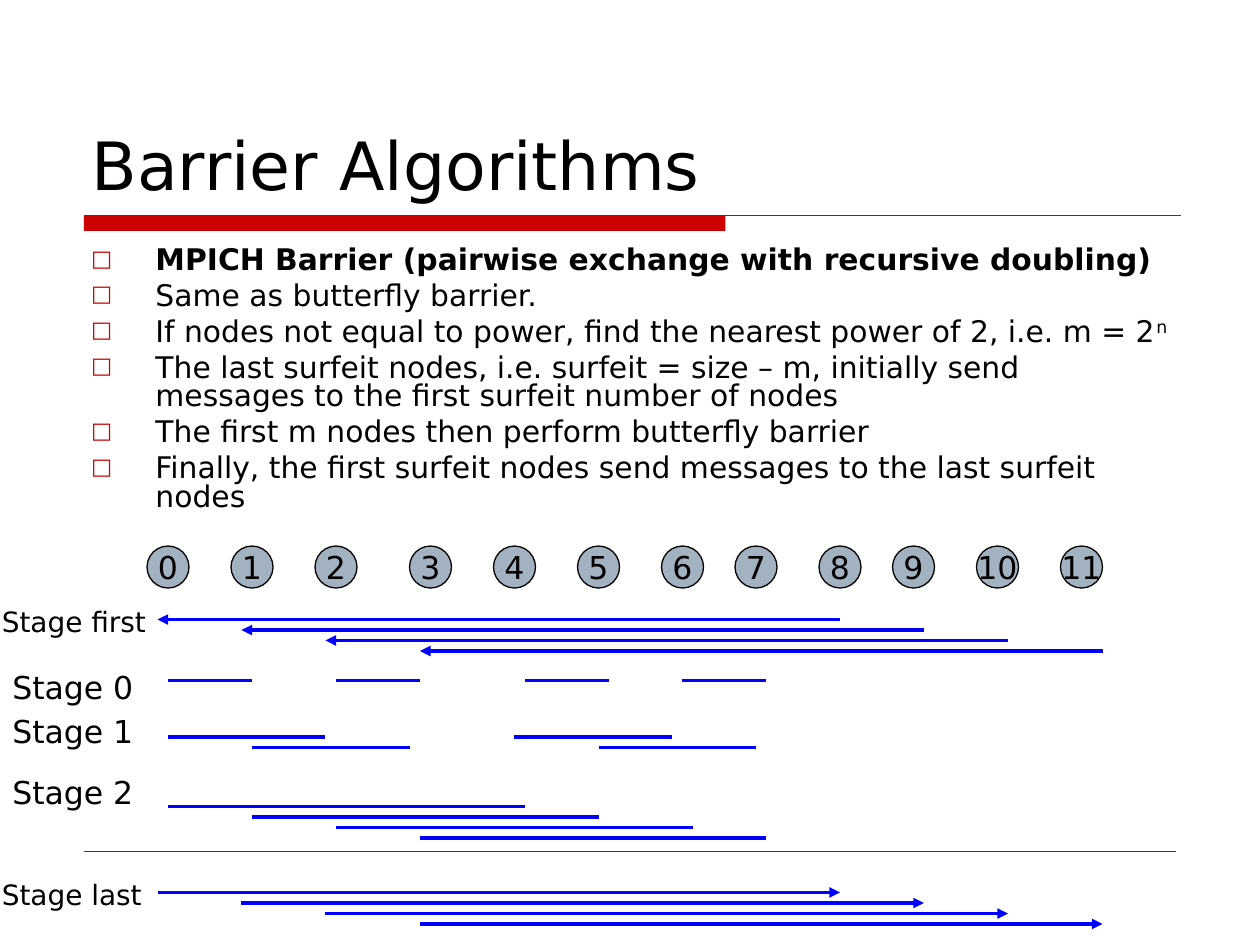
from lxml import etree
from pptx import Presentation
from pptx.dml.color import RGBColor
from pptx.enum import shapes, text
from pptx.oxml import ns
from pptx.util import Pt

FONT = "DejaVu Sans"
RED, BLUE, BLACK, GREY = "CC0000", "0000FF", "000000", "A3B2C1"


def color(value):
    return RGBColor.from_string(value)


def child(parent, tag, **attributes):
    return etree.SubElement(parent, ns.qn(tag), attributes)


def add_span(para, words, size=18, bold=False, raised=False):
    span = para.add_run()
    span.text = words
    span.font.name = FONT
    span.font.size = Pt(size)
    span.font.bold = bold
    span.font.color.rgb = color(BLACK)
    if raised:
        span.font._element.set("baseline", "30000")


def add_box(page, left, top, width, height, anchor=text.MSO_ANCHOR.TOP):
    box = page.shapes.add_textbox(Pt(left), Pt(top), Pt(width), Pt(height))
    box.text_frame.word_wrap = True
    box.text_frame.vertical_anchor = anchor
    return box.text_frame


def add_line(page, x1, y1, x2, y2, stroke=BLUE, weight=2, arrow=None):
    line = page.shapes.add_connector(
        shapes.MSO_CONNECTOR.STRAIGHT, Pt(x1), Pt(y1), Pt(x2), Pt(y2))
    line.line.color.rgb = color(stroke)
    line.line.width = Pt(weight)
    if arrow:
        child(line.line._get_or_add_ln(), arrow, type="triangle")
    child(line._element.spPr, "a:effectLst")


def add_shape(page, kind, left, top, width, height, fill):
    shape = page.shapes.add_shape(kind, Pt(left), Pt(top), Pt(width), Pt(height))
    shape.shadow.inherit = False
    shape.fill.solid()
    shape.fill.fore_color.rgb = color(fill)
    return shape


def add_rules(page, left, top, width):
    """Thick and thin rule below the title, hairline near the foot."""
    band = add_shape(page, shapes.MSO_SHAPE.RECTANGLE, left, top, 366.5, 8.8, RED)
    band.line.fill.background()
    add_line(page, left, top, left + width, top, RED, 0.74)
    add_line(page, left, top + 363, left + width - 2.6, top + 363, RED, 0.26)


def add_title(page, left, top, width, height, words):
    frame = add_box(page, left, top, width, height, text.MSO_ANCHOR.BOTTOM)
    add_span(frame.paragraphs[0], words, size=38)


def add_bullets(page, left, top, width, height, items):
    frame = add_box(page, left, top, width, height)
    for index, spans in enumerate(items):
        para = frame.add_paragraph() if index else frame.paragraphs[0]
        para.line_spacing = 0.8
        para.space_before = Pt(4.2)
        layout = para._p.get_or_add_pPr()
        layout.set("marL", str(Pt(36.75)))
        layout.set("indent", str(-Pt(36.75)))
        child(child(layout, "a:buClr"), "a:srgbClr", val=RED)
        child(layout, "a:buSzPct", val="75000")
        child(layout, "a:buFont", typeface=FONT)
        child(layout, "a:buChar", char="□")
        for words, style in spans:
            add_span(para, words, size=17, **style)


def add_nodes(page, top, lefts, size=24):
    for number, left in enumerate(lefts):
        node = add_shape(page, shapes.MSO_SHAPE.OVAL, left, top, size, size, GREY)
        node.line.color.rgb = color(BLACK)
        node.line.width = Pt(0.74)
        frame = node.text_frame
        frame.word_wrap = False
        frame.vertical_anchor = text.MSO_ANCHOR.MIDDLE
        frame.paragraphs[0].alignment = text.PP_ALIGN.CENTER
        add_span(frame.paragraphs[0], str(number))


def add_stage(page, left, top, label, size, offset, links, arrow=None):
    """Label with its message lines; each link is (start, end, row)."""
    frame = add_box(page, left, top, 102, size * 1.17 + 7.8)
    add_span(frame.paragraphs[0], label, size=size)
    for start, end, row in links:
        y = top + offset + 6 * row
        add_line(page, start, y, end, y, arrow=arrow)


deck = Presentation()
deck.slide_width, deck.slide_height = Pt(720), Pt(540)
page = deck.slides.add_slide(deck.slide_layouts[6])

# Heading
add_rules(page, 48, 123.2, 626.6)
add_title(page, 45.2, 24, 630, 96, "Barrier Algorithms")

# Explanation
plain = {}
add_bullets(page, 45, 138, 630, 168, [
    [("MPICH Barrier (pairwise exchange with recursive doubling)", {"bold": True})],
    [("Same as butterfly barrier.", plain)],
    [("If nodes not equal to power, find the nearest power of 2, i.e. m = 2", plain),
     ("n", {"raised": True})],
    [("The last surfeit nodes, i.e. surfeit = size – m, initially send "
      "messages to the first surfeit number of nodes", plain)],
    [("The first m nodes then perform butterfly barrier", plain)],
    [("Finally, the first surfeit nodes send messages to the last surfeit nodes",
      plain)],
])

# Nodes
add_nodes(page, 312, [84, 132, 180, 234, 282, 330, 378, 420, 468, 510, 558, 606])

# Stages
surfeit = [(90, 480, 0), (138, 528, 1), (186, 576, 2), (240, 630, 3)]
pairs = [(96, 144, 0), (192, 240, 0), (300, 348, 0), (390, 438, 0)]
doubles = [(96, 186, 0), (144, 234, 1), (294, 384, 0), (342, 432, 1)]
quads = [(96, 300, 0), (144, 342, 1), (192, 396, 2), (240, 438, 3)]
add_stage(page, 0, 378, "Stage 0", 18, 10.8, pairs)
add_stage(page, 0, 403.2, "Stage 1", 18, 18, doubles)
add_stage(page, 0, 438, "Stage 2", 18, 22.8, quads)
add_stage(page, -6, 342, "Stage first", 16, 12, surfeit, "a:headEnd")
add_stage(page, -6, 498, "Stage last", 16, 12, surfeit, "a:tailEnd")

deck.save("out.pptx")
